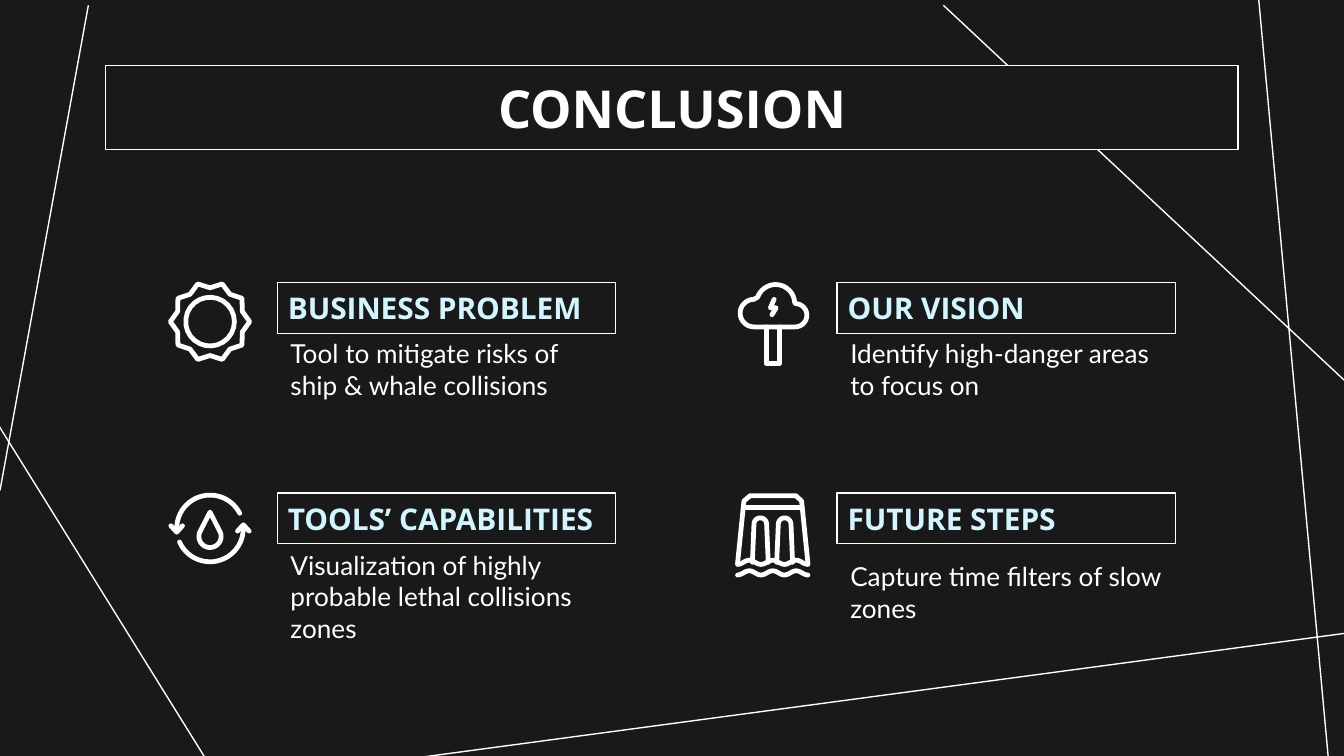
from math import cos, pi, radians, sin

from lxml.etree import SubElement
from pptx import Presentation
from pptx.dml.color import RGBColor
from pptx.enum.shapes import MSO_CONNECTOR, MSO_SHAPE
from pptx.enum.text import MSO_ANCHOR, PP_ALIGN
from pptx.oxml.ns import qn
from pptx.util import Cm, Pt

color = RGBColor.from_string
DARK, WHITE, ICE = "191919", "FFFFFF", "D2F6FF"


def arc(x, y, radius, start, end):
    angles = [radians(start + (end - start) * step / 24) for step in range(25)]
    return [(x + radius * cos(angle), y + radius * sin(angle)) for angle in angles]


def add_text(left, top, width, height, text, font, size, text_color, framed):
    if framed:
        shape = slide.shapes.add_shape(MSO_SHAPE.RECTANGLE, Cm(left), Cm(top), Cm(width), Cm(height))
        shape.shadow.inherit = False
        shape.fill.background()
        shape.line.color.rgb = color(WHITE)
        shape.line.width = Pt(0.75)
    else:
        shape = slide.shapes.add_textbox(Cm(left), Cm(top), Cm(width), Cm(height))
    frame = shape.text_frame
    frame.text = text
    frame.word_wrap = True
    frame.vertical_anchor = MSO_ANCHOR.MIDDLE
    frame.margin_left = frame.margin_right = frame.margin_top = frame.margin_bottom = Cm(0.25)
    paragraph = frame.paragraphs[0]
    paragraph.alignment = PP_ALIGN.LEFT
    run_font = paragraph.runs[0].font
    run_font.name, run_font.size, run_font.bold = font, Pt(size), framed
    run_font.color.rgb = color(text_color)
    return shape


presentation = Presentation()
presentation.slide_width, presentation.slide_height = Cm(25.4), Cm(14.29)
slide = presentation.slides.add_slide(presentation.slide_layouts[6])
slide.background.fill.solid()
slide.background.fill.fore_color.rgb = color(DARK)

background_lines = [
    (17.83, 0.1, 25.43, 7.21),
    (0, 9.27, 1.67, 0.1),
    (25.1, 14.29, 23.75, -0.43),
    (-0.43, 7.39, 4.65, 15.57),
    (5.82, 14.6, 25.65, 11.94),
]
for ends in background_lines:
    connector = slide.shapes.add_connector(MSO_CONNECTOR.STRAIGHT, *[Cm(end) for end in ends])
    connector.line.color.rgb = color(WHITE)
    connector.line.width = Pt(0.75)
    SubElement(connector._element.spPr, qn("a:effectLst"))

title = add_text(2, 1.24, 21.4, 1.59, "CONCLUSION", "Open Sans", 28, WHITE, True)
title.fill.solid()
title.fill.fore_color.rgb = color(DARK)
title.text_frame.paragraphs[0].alignment = PP_ALIGN.CENTER

sections = [
    (5.24, 5.34, "BUSINESS PROBLEM", 6.3, 1.35, "Tool to mitigate risks of ship & whale collisions"),
    (15.82, 5.34, "OUR VISION", 6.3, 1.35, "Identify high-danger areas to focus on"),
    (5.24, 9.32, "TOOLS’ CAPABILITIES", 10.52, 1.5,
     "Visualization of highly probable lethal collisions zones"),
    (15.82, 9.32, "FUTURE STEPS", 10.75, 0.89, "Capture time filters of slow zones"),
]
for left, top, heading, body_top, body_height, body in sections:
    box = add_text(left, top, 6.4, 0.96, heading, "Open Sans", 16, ICE, True)
    box.text_frame.margin_left = Cm(0.2)
    add_text(left, body_top, 6.4, body_height, body, "Lato", 14, WHITE, False)

gear = []
for index in range(20):
    radius = 0.64 if index % 2 else 0.75
    gear.append((3.97 + radius * cos(index * pi / 10), 6.08 + radius * sin(index * pi / 10)))

drop = [(3.97, 9.68)] + arc(3.97, 10.14, 0.21, -20, 200)
left_arrow = [(3.23, 9.94), (3.34, 10.06), (3.45, 9.94)]
right_arrow = [(2 * 3.97 - x, 2 * 9.99 - y) for x, y in left_arrow]

cloud = (arc(14.25, 5.92, 0.26, 90, 270) + arc(14.66, 5.74, 0.36, 200, 355)
         + arc(15.03, 5.96, 0.22, -90, 90))
trunk = [(14.48, 6.18), (14.48, 6.87), (14.73, 6.87), (14.73, 6.18)]
bolt = [(14.63, 5.66), (14.56, 5.82), (14.67, 5.82), (14.59, 5.95)]

dam = [(13.94, 10.65), (14.06, 9.47), (14.18, 9.37), (15.04, 9.37), (15.15, 9.47), (15.27, 10.65)]
icon_strokes = [
    (gear, True),
    (arc(3.97, 6.08, 0.46, 0, 345), True),
    (drop, True),
    (arc(3.97, 9.99, 0.63, 180, 333), False),
    (arc(3.97, 9.99, 0.63, 0, 156), False),
    (left_arrow, False),
    (right_arrow, False),
    (cloud, True),
    (trunk, False),
    (bolt, False),
    (dam, False),
    ([(14.05, 9.59), (15.16, 9.59)], False),
]
for center in (14.37, 14.83):
    arch = [(center - 0.15, 10.63)] + arc(center, 9.91, 0.12, 180, 360) + [(center + 0.15, 10.63)]
    icon_strokes.append((arch, False))
for middle in (10.63, 10.83):
    wave = [(13.94 + 1.33 * step / 48, middle + 0.04 * cos(step * pi / 8)) for step in range(49)]
    icon_strokes.append((wave, False))

for points, closed in icon_strokes:
    vertices = [(Cm(x), Cm(y)) for x, y in points]
    builder = slide.shapes.build_freeform(*vertices[0])
    builder.add_line_segments(vertices[1:], close=closed)
    stroke = builder.convert_to_shape()
    stroke.shadow.inherit = False
    stroke.fill.background()
    stroke.line.color.rgb = color(WHITE)
    stroke.line.width = Cm(0.09)
    outline = stroke._element.spPr.find(qn("a:ln"))
    outline.set("cap", "rnd")
    SubElement(outline, qn("a:round"))

presentation.save("out.pptx")
